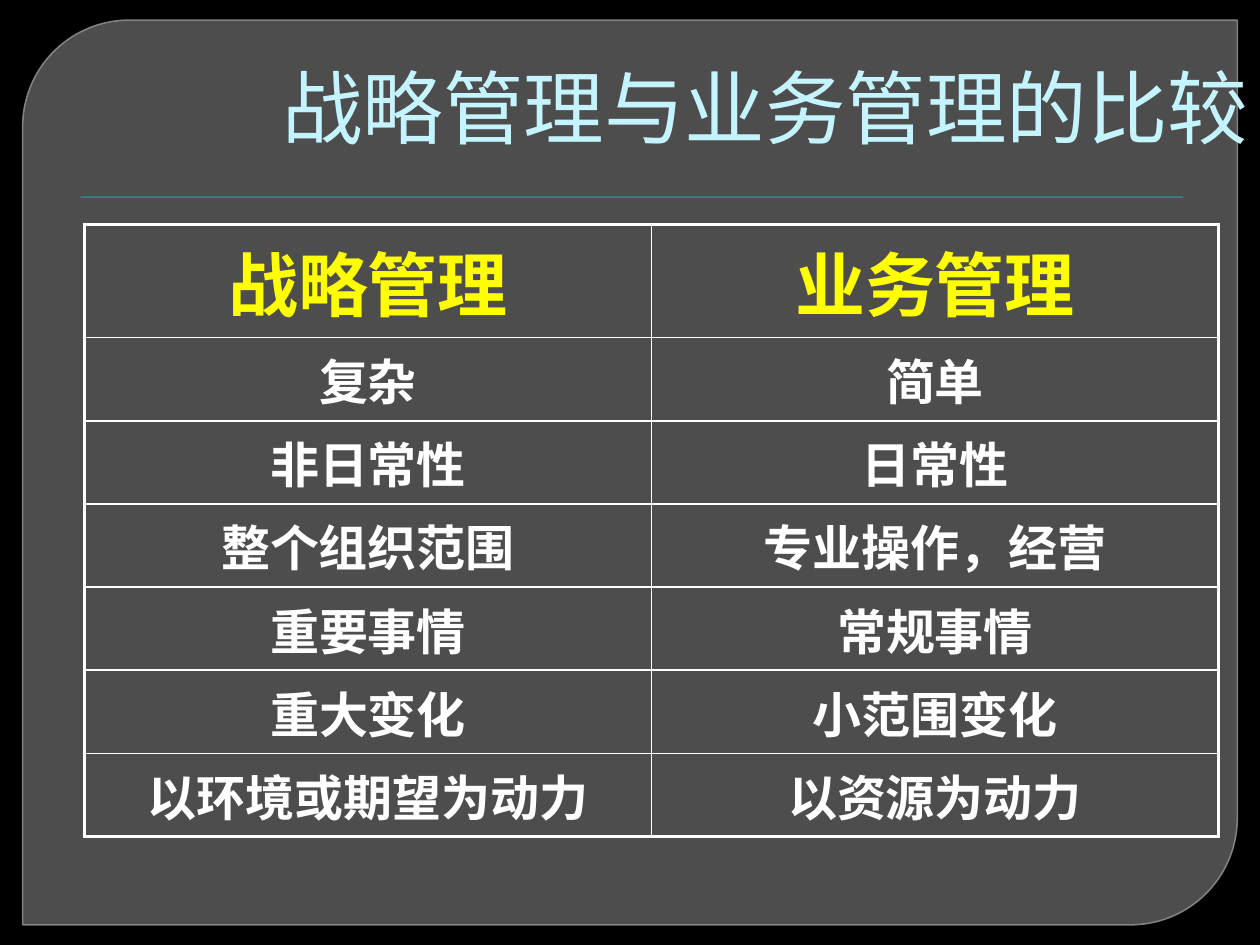
from dataclasses import dataclass

from lxml.etree import SubElement
from pptx import Presentation
from pptx.dml.color import RGBColor
from pptx.enum.shapes import MSO_SHAPE
from pptx.enum.text import MSO_ANCHOR, PP_ALIGN
from pptx.oxml.ns import qn
from pptx.util import Inches, Pt

COLORS = {
    "background": "000000",
    "panel": "777777",
    "panel_line": "8E8E8E",
    "rule": "2DA2BF",
    "title": "C4F4FF",
    "heading": "FFFF00",
    "body": "FFFFFF",
    "border": "FFFFFF",
}


@dataclass(frozen=True)
class TextStyle:
    size: float
    color: str
    font: str = "Arial"
    bold: bool = True
    align: PP_ALIGN = PP_ALIGN.CENTER


@dataclass(frozen=True)
class ComparisonRow:
    strategic: str
    operational: str


TITLE = TextStyle(46, "title", "TeX Gyre Bonum", False, PP_ALIGN.RIGHT)
HEADING = TextStyle(40, "heading")
BODY = TextStyle(28, "body")

ROWS = [
    ComparisonRow("战略管理", "业务管理"),
    ComparisonRow("复杂", "简单"),
    ComparisonRow("非日常性", "日常性"),
    ComparisonRow("整个组织范围", "专业操作，经营"),
    ComparisonRow("重要事情", "常规事情"),
    ComparisonRow("重大变化", "小范围变化"),
    ComparisonRow("以环境或期望为动力", "以资源为动力"),
]


def rgb(name: str) -> RGBColor:
    return RGBColor.from_string(COLORS[name])


def write_text(text_frame, text: str, style: TextStyle) -> None:
    paragraph = text_frame.paragraphs[0]
    paragraph.alignment = style.align
    run = paragraph.add_run()
    run.text = text
    run.font.name = style.font
    run.font.size = Pt(style.size)
    run.font.bold = style.bold
    run.font.color.rgb = rgb(style.color)


def set_opacity(fill_parent, percent: int) -> None:
    color = fill_parent.find(qn("a:solidFill")).find(qn("a:srgbClr"))
    SubElement(color, qn("a:alpha"), val=str(percent * 1000))


def set_border(cell, side: str, width: float) -> None:
    properties = cell._tc.get_or_add_tcPr()
    line = SubElement(properties, qn(f"a:ln{side}"), w=str(Pt(width)))
    fill = SubElement(line, qn("a:solidFill"))
    SubElement(fill, qn("a:srgbClr"), val=COLORS["border"])


def add_panel(slide) -> None:
    panel = slide.shapes.add_shape(
        MSO_SHAPE.ROUND_2_DIAG_RECTANGLE,
        Inches(0.18), Inches(0.16), Inches(9.64), Inches(7.18),
    )
    panel.shadow.inherit = False
    panel.adjustments[0] = 0.118
    panel.adjustments[1] = 0
    panel.fill.solid()
    panel.fill.fore_color.rgb = rgb("panel")
    panel.line.color.rgb = rgb("panel_line")
    panel.line.width = Pt(0.87)
    properties = panel._element.spPr
    set_opacity(properties, 65)
    set_opacity(properties.find(qn("a:ln")), 88)


def add_rule(slide) -> None:
    rule = slide.shapes.add_shape(
        MSO_SHAPE.RECTANGLE, Inches(0.64), Inches(1.56), Inches(8.75), Inches(0.01)
    )
    rule.shadow.inherit = False
    rule.fill.solid()
    rule.fill.fore_color.rgb = rgb("rule")
    rule.line.fill.background()


def add_title(slide, text: str) -> None:
    title = slide.shapes.add_textbox(Inches(1), Inches(0.28), Inches(9), Inches(0.95))
    text_frame = title.text_frame
    text_frame.word_wrap = True
    text_frame.vertical_anchor = MSO_ANCHOR.BOTTOM
    text_frame.margin_top = text_frame.margin_bottom = Inches(0)
    write_text(text_frame, text, TITLE)


def add_comparison(slide, rows: list[ComparisonRow]) -> None:
    heading_height, body_height = Inches(0.9), Inches(0.66)
    last = len(rows) - 1
    frame = slide.shapes.add_table(
        len(rows), 2, Inches(0.67), Inches(1.78), Inches(9),
        heading_height + last * body_height,
    )
    table = frame.table
    table.first_row = False
    table.horz_banding = False
    for row_index, row in enumerate(rows):
        is_heading = row_index == 0
        table.rows[row_index].height = heading_height if is_heading else body_height
        for column_index, text in enumerate((row.strategic, row.operational)):
            cell = table.cell(row_index, column_index)
            outer_sides = {
                "L": column_index == 0,
                "R": column_index == 1,
                "T": is_heading,
                "B": row_index == last,
            }
            for side, is_outer in outer_sides.items():
                set_border(cell, side, 2.25 if is_outer else 1)
            cell.fill.background()
            write_text(cell.text_frame, text, HEADING if is_heading else BODY)


def main() -> None:
    presentation = Presentation()
    presentation.slide_width = Inches(10)
    presentation.slide_height = Inches(7.5)
    slide = presentation.slides.add_slide(presentation.slide_layouts[6])
    slide.background.fill.solid()
    slide.background.fill.fore_color.rgb = rgb("background")
    add_panel(slide)
    add_rule(slide)
    add_title(slide, "战略管理与业务管理的比较")
    add_comparison(slide, ROWS)
    presentation.save("out.pptx")


if __name__ == "__main__":
    main()
